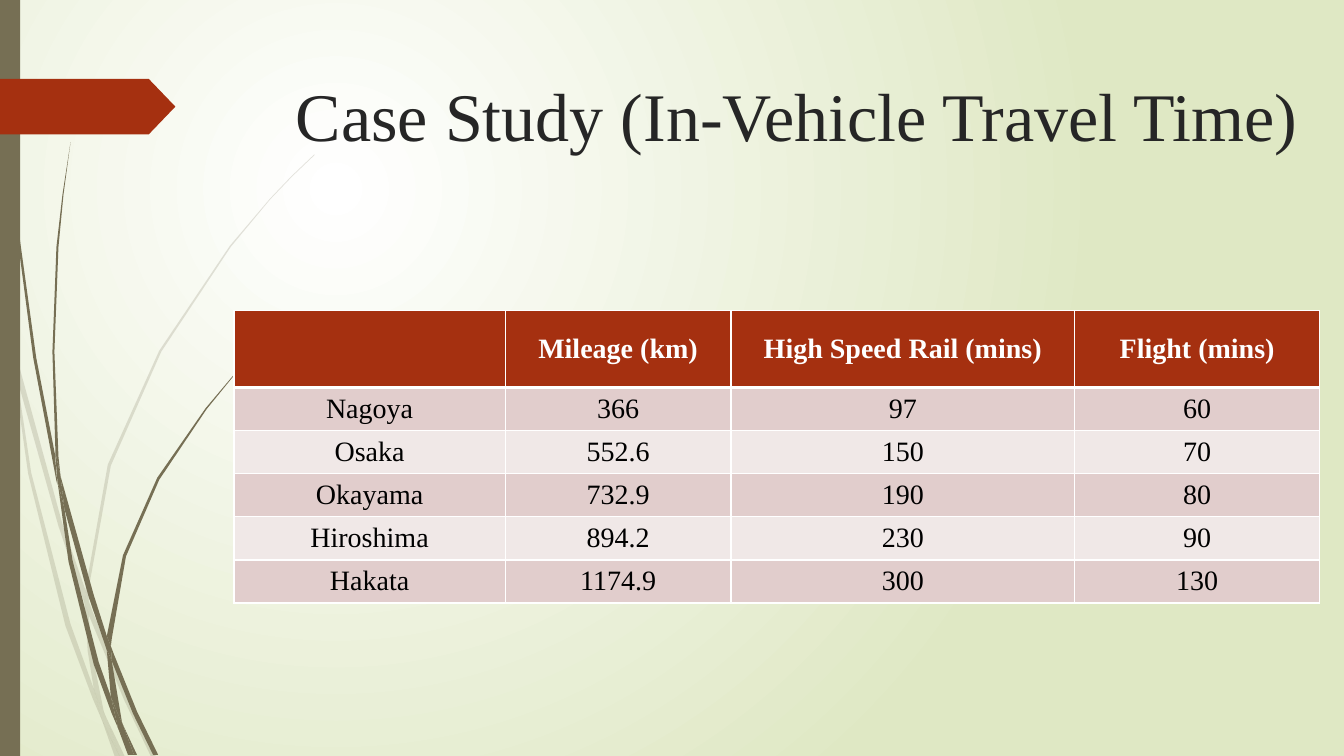
from lxml import etree
from pptx import Presentation
from pptx.dml.color import RGBColor
from pptx.enum.shapes import MSO_SHAPE as SHAPE
from pptx.enum.text import MSO_ANCHOR as ANCHOR, MSO_AUTO_SIZE as FIT, PP_ALIGN as ALIGN
from pptx.oxml.ns import qn
from pptx.util import Pt

# Content
TITLE = "Case Study (In-Vehicle Travel Time)"
ROWS = [
    ("", "Mileage (km)", "High Speed Rail (mins)", "Flight (mins)"),
    ("Nagoya", "366", "97", "60"),
    ("Osaka", "552.6", "150", "70"),
    ("Okayama", "732.9", "190", "80"),
    ("Hiroshima", "894.2", "230", "90"),
    ("Hakata", "1174.9", "300", "130"),
]

# Grass blades, piece by piece: outline corners in units of 0.72 pt
GRASS_UNIT = Pt(0.72)
FAINT_GRASS = [
    [(11, 350), (9, 322), (0, 282), (0, 299), (10, 344)],
    [(58, 522), (84, 599), (85, 586), (62, 520), (14, 345), (17, 376)],
    [(92, 607), (88, 596), (88, 610), (123, 694), (150, 751), (155, 751), (127, 692)],
    [(119, 751), (124, 751), (105, 711)],
    [(93, 683), (70, 619), (31, 469), (17, 376), (11, 350), (28, 470), (65, 621),
     (92, 693), (101, 714), (99, 707)],
    [(84, 599), (87, 646), (93, 683), (96, 692), (105, 711), (103, 706), (91, 646),
     (88, 610), (88, 608)],
    [(88, 584), (110, 462), (160, 349), (229, 245), (268, 198), (290, 175), (312, 154),
     (312, 153), (289, 175), (268, 197), (228, 244), (158, 348), (107, 461), (85, 584),
     (85, 586), (88, 596)],
    [(101, 714), (114, 751), (119, 751)],
    [(88, 608), (88, 610), (88, 596), (85, 586), (84, 599)],
    [(96, 692), (93, 683), (99, 707), (101, 714), (119, 751), (105, 711)],
]
DARK_GRASS = [
    [(7, 110), (17, 233), (33, 355), (56, 477), (57, 481), (55, 457), (55, 453),
     (36, 355), (19, 232), (8, 109), (5, 48), (4, 0), (3, 0), (4, 48)],
    [(88, 592), (106, 645), (106, 633), (106, 631), (93, 590), (60, 472), (64, 505)],
    [(113, 649), (110, 641), (111, 656), (132, 708), (152, 749), (157, 749), (136, 706)],
    [(110, 691), (98, 657), (72, 556), (64, 505), (57, 477), (68, 557), (93, 659),
     (111, 708), (117, 722), (116, 717)],
    [(60, 472), (58, 453), (54, 349), (58, 245), (63, 193), (70, 141), (62, 193),
     (56, 245), (52, 349), (55, 449)],
    [(133, 749), (136, 749), (122, 719)],
    [(57, 477), (64, 505), (60, 472), (55, 449), (55, 453)],
    [(111, 633), (125, 552), (158, 476), (205, 406), (231, 374), (245, 359), (261, 344),
     (260, 344), (245, 358), (231, 373), (204, 405), (156, 474), (122, 551), (106, 631),
     (110, 641)],
    [(117, 722), (127, 749), (131, 749)],
    [(106, 645), (110, 691), (116, 706), (122, 719), (121, 716), (111, 656), (109, 651)],
    [(106, 645), (109, 651), (111, 656), (110, 641), (106, 631), (106, 633)],
    [(116, 706), (110, 691), (116, 717), (117, 722), (130, 749), (133, 749), (122, 719)],
]

# Style
FONT = "Times New Roman"
WHITE = RGBColor(0xFF, 0xFF, 0xFF)
BLACK = RGBColor(0x00, 0x00, 0x00)
INK = RGBColor(0x26, 0x26, 0x26)
RED = RGBColor(0xA5, 0x30, 0x10)
BROWN = RGBColor(0x76, 0x6F, 0x54)
GREEN = RGBColor(0xDF, 0xE8, 0xC4)
BANDS = [RGBColor(0xF0, 0xE8, 0xE7), RGBColor(0xE1, 0xCD, 0xCC)]
COL_WIDTHS = [193.7, 161.3, 245.5, 175]
HEAD_HEIGHT, ROW_HEIGHT = 55, 30.8


def paint(sp, color):
    sp.shadow.inherit = False
    sp.fill.solid()
    sp.fill.fore_color.rgb = color
    sp.line.fill.background()


def add_blade(shapes, outline, opacity):
    builder = shapes.build_freeform(*outline[0], scale=GRASS_UNIT)
    builder.add_line_segments(outline[1:], close=True)
    sp = builder.convert_to_shape()
    paint(sp, BROWN)
    if opacity < 100:
        color = sp.element.spPr.find(qn("a:solidFill"))[0]
        etree.SubElement(color, qn("a:alpha"), val=str(opacity * 1000))


def set_borders(cell, top, bottom):
    tc_pr = cell._tc.get_or_add_tcPr()
    for side, width in (("L", 1), ("R", 1), ("T", top), ("B", bottom)):
        ln = etree.SubElement(tc_pr, qn(f"a:ln{side}"), w=str(Pt(width)))
        fill = etree.SubElement(ln, qn("a:solidFill"))
        etree.SubElement(fill, qn("a:srgbClr"), val=str(WHITE))


prs = Presentation()
prs.slide_width, prs.slide_height = Pt(960), Pt(540)
slide = prs.slides.add_slide(prs.slide_layouts[5])
shapes = slide.shapes

# Background: glow spreading from the upper left
fill = slide.background.fill
fill.gradient()
for stop, color in zip(fill.gradient_stops, (WHITE, GREEN)):
    stop.color.rgb = color
grad = slide.element.find(".//" + qn("a:gradFill"))
grad.remove(grad.find(qn("a:lin")))
glow = etree.SubElement(grad, qn("a:path"), {"path": "circle"})
etree.SubElement(glow, qn("a:fillToRect"), l="50000", t="50000", r="100000", b="100000")

# Grass, side bar and tag
for grass, opacity in ((FAINT_GRASS, 20), (DARK_GRASS, 100)):
    for outline in grass:
        add_blade(shapes, outline, opacity)
bar = shapes.add_shape(SHAPE.RECTANGLE, 0, 0, Pt(14.4), Pt(540))
paint(bar, BROWN)
tag = shapes.add_shape(SHAPE.PENTAGON, 0, Pt(56.3), Pt(125.3), Pt(39.8))
tag.adjustments[0] = 0.48
paint(tag, RED)

# Title
title = shapes.title
title.left, title.top, title.width, title.height = Pt(204.2), Pt(49), Pt(738.7), Pt(100.8)
tf = title.text_frame
tf.text = TITLE
tf.word_wrap = True
tf.auto_size = FIT.NONE
tf.vertical_anchor = ANCHOR.TOP
p = tf.paragraphs[0]
p.alignment = ALIGN.LEFT
font = p.runs[0].font
font.name, font.size, font.color.rgb = FONT, Pt(48.6), INK

# Table
height = HEAD_HEIGHT + ROW_HEIGHT * (len(ROWS) - 1)
table = shapes.add_table(len(ROWS), len(COL_WIDTHS), Pt(167.2), Pt(221.8),
                         Pt(sum(COL_WIDTHS)), Pt(height)).table
for column, width in zip(table.columns, COL_WIDTHS):
    column.width = Pt(width)
for i, row in enumerate(ROWS):
    head = i == 0
    table.rows[i].height = Pt(HEAD_HEIGHT if head else ROW_HEIGHT)
    for j, text in enumerate(row):
        cell = table.cell(i, j)
        set_borders(cell, top=3 if i == 1 else 1, bottom=3 if head else 1)
        cell.fill.solid()
        cell.fill.fore_color.rgb = RED if head else BANDS[i % 2]
        cell.vertical_anchor = ANCHOR.MIDDLE
        cell.text_frame.text = text
        p = cell.text_frame.paragraphs[0]
        p.alignment = ALIGN.CENTER
        for r in p.runs:
            r.font.name, r.font.size, r.font.bold = FONT, Pt(20), head
            r.font.color.rgb = WHITE if head else BLACK

prs.save("out.pptx")
